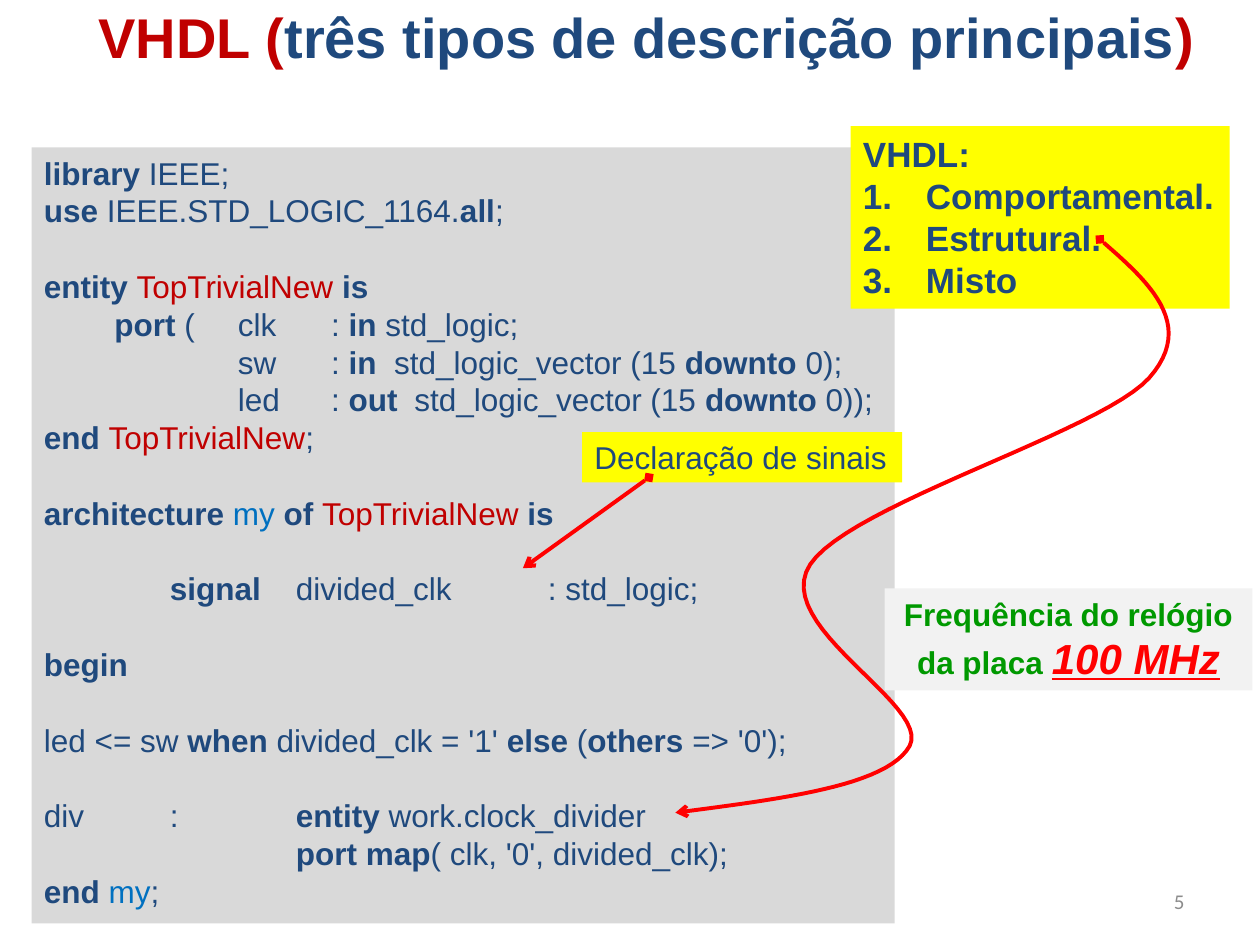
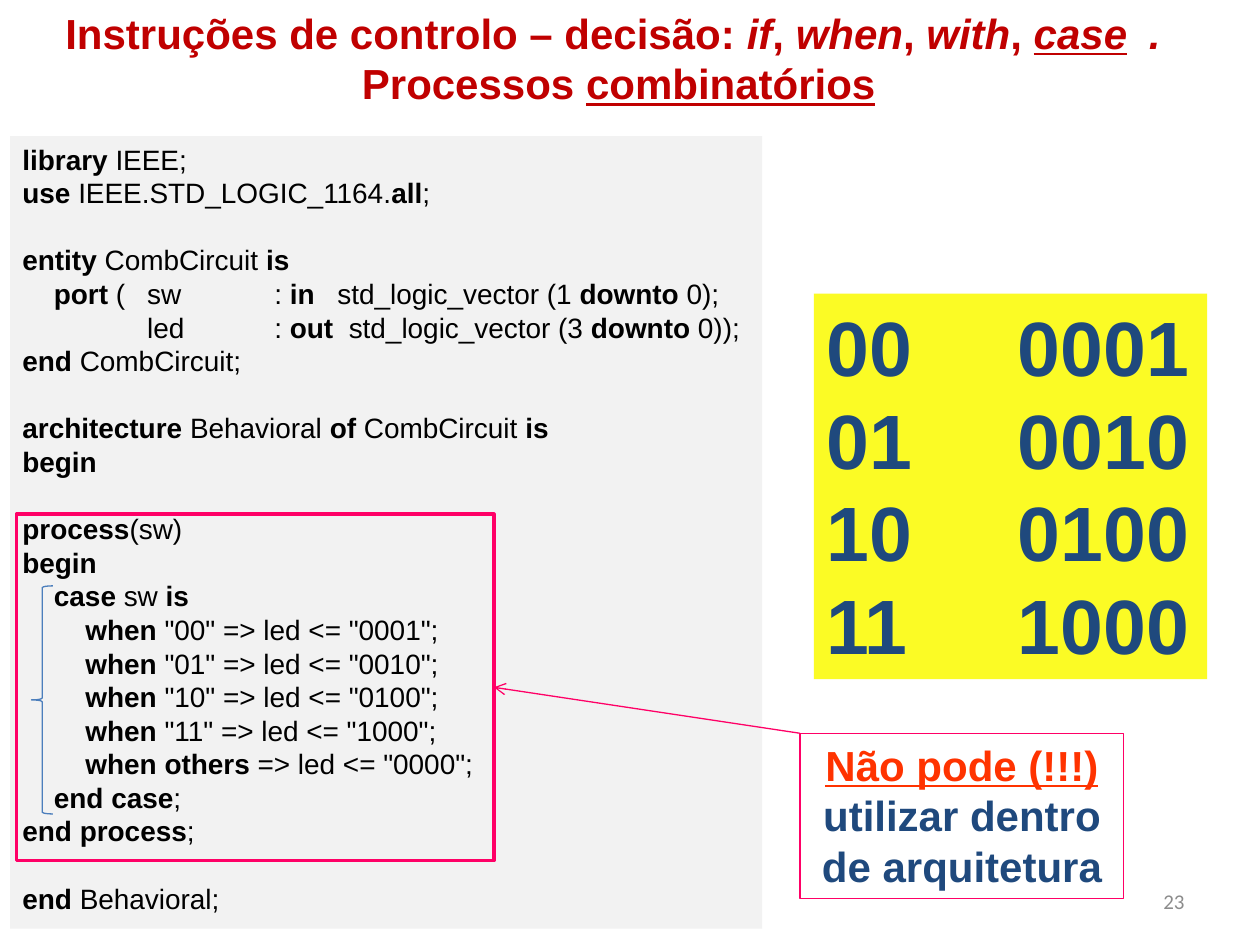
from dataclasses import dataclass
from itertools import groupby
from typing import NamedTuple

from lxml.etree import SubElement
from pptx import Presentation
from pptx.dml.color import RGBColor
from pptx.enum.shapes import MSO_CONNECTOR, MSO_SHAPE as Preset
from pptx.enum.text import MSO_ANCHOR as Anchor, PP_ALIGN as Align
from pptx.oxml.ns import qn
from pptx.util import Inches, Pt


@dataclass(frozen=True)
class Theme:
    font: str = "Arial"
    number_font: str = "Calibri"
    navy: str = "1F497D"
    crimson: str = "C00000"
    sky: str = "0070C0"
    black: str = "000000"
    red: str = "FF0000"
    orange: str = "FF3300"
    green: str = "009900"
    pink: str = "FF0066"
    brace: str = "4B7EBC"
    number: str = "8C8C8C"
    yellow: str = "FFFF00"
    lemon: str = "FBFB25"
    gray: str = "D9D9D9"
    pale: str = "F2F2F2"
    title: int = 32
    subtitle: int = 24
    big: int = 44
    list: int = 20
    body: int = 18
    code: int = 16
    small: int = 12
    leading: float = 1.2


THEME = Theme()
KEYWORDS = set(
    "library use all entity is port in out downto end architecture of signal "
    "begin when else others map process case".split()
)
NAME_COLORS = {"TopTrivialNew": THEME.crimson, "my": THEME.sky}


class Box(NamedTuple):
    left: float
    top: float
    width: float
    height: float


class Run(NamedTuple):
    text: str
    color: str = THEME.navy
    size: int = THEME.body
    bold: bool = False
    italic: bool = False
    underline: bool = False
    font: str = THEME.font


class Line(NamedTuple):
    """One paragraph; gap leaves a full line of space above it."""
    runs: list[Run]
    tabs: tuple[float, ...] = ()
    gap: bool = False
    align: Align = Align.LEFT
    numbered: bool = False


class Code(NamedTuple):
    text: str
    tabs: tuple[float, ...] = ()
    gap: bool = False


class Stroke(NamedTuple):
    color: str
    width: float
    head: str = ""
    tail: str = ""


def rgb(color: str) -> RGBColor:
    return RGBColor.from_string(color)


def highlight(lines: list[Code], size: int, color: str) -> list[Line]:
    """Turn VHDL lines into runs: keywords bold, known names coloured."""
    def word_character(character: str) -> bool:
        return character.isalnum() or character == "_"

    result = []
    for line in lines:
        words = ["".join(group) for _, group in groupby(line.text, word_character)]
        runs = [Run(word, NAME_COLORS.get(word, color), size, word in KEYWORDS)
                for word in words]
        result.append(Line(runs, line.tabs, line.gap))
    return result


def write(shape, lines: list[Line], anchor=Anchor.TOP, exact: bool = True) -> None:
    frame = shape.text_frame
    frame.word_wrap = True
    frame.vertical_anchor = anchor
    for index, line in enumerate(lines):
        paragraph = frame.paragraphs[0] if index == 0 else frame.add_paragraph()
        paragraph.alignment = line.align
        pitch = Pt(line.runs[0].size * THEME.leading)
        if exact:
            paragraph.line_spacing = pitch
        if line.gap:
            paragraph.space_before = pitch
        properties = paragraph._p.get_or_add_pPr()
        if line.numbered:
            properties.set("marL", str(Inches(0.5)))
            properties.set("indent", str(-Inches(0.5)))
            SubElement(properties, qn("a:buFont"), typeface=THEME.font)
            SubElement(properties, qn("a:buAutoNum"), type="arabicPeriod")
        if line.tabs:
            stops = SubElement(properties, qn("a:tabLst"))
            for stop in line.tabs:
                SubElement(stops, qn("a:tab"), pos=str(Inches(stop)), algn="l")
        for item in line.runs:
            run = paragraph.add_run()
            run.text = item.text
            font = run.font
            font.name, font.size = item.font, Pt(item.size)
            font.bold, font.italic, font.underline = item.bold, item.italic, item.underline
            font.color.rgb = rgb(item.color)


def apply_stroke(shape, stroke: Stroke) -> None:
    shape.line.color.rgb = rgb(stroke.color)
    shape.line.width = Pt(stroke.width)
    line = shape.line._get_or_add_ln()
    for tag, kind in (("a:headEnd", stroke.head), ("a:tailEnd", stroke.tail)):
        if kind:
            SubElement(line, qn(tag), type=kind)


def add_panel(slide, box: Box, fill: str = "", stroke: Stroke | None = None,
              preset=Preset.RECTANGLE):
    shape = slide.shapes.add_shape(preset, *map(Inches, box))
    shape.shadow.inherit = False
    if fill:
        shape.fill.solid()
        shape.fill.fore_color.rgb = rgb(fill)
    else:
        shape.fill.background()
    if stroke:
        apply_stroke(shape, stroke)
    else:
        shape.line.fill.background()
    return shape


def add_text(slide, box: Box, lines: list[Line], anchor=Anchor.TOP) -> None:
    write(slide.shapes.add_textbox(*map(Inches, box)), lines, anchor)


def add_arrow(slide, start: tuple, end: tuple, stroke: Stroke):
    connector = slide.shapes.add_connector(
        MSO_CONNECTOR.STRAIGHT, *map(Inches, start + end))
    apply_stroke(connector, stroke)
    SubElement(connector._element.spPr, qn("a:effectLst"))
    return connector


def add_curve(slide, start: tuple, segments: list[tuple], stroke: Stroke) -> None:
    """Draw joined cubic curves, each given as two handles and an end point."""
    steps = 24
    points = []
    origin = start
    for first, second, end in segments:
        for step in range(1, steps + 1):
            t = step / steps
            s = 1 - t
            points.append(tuple(
                Inches(s**3 * a + 3 * s * s * t * b + 3 * s * t * t * c + t**3 * d)
                for a, b, c, d in zip(origin, first, second, end)))
        origin = end
    builder = slide.shapes.build_freeform(*map(Inches, start))
    builder.add_line_segments(points, close=False)
    shape = builder.convert_to_shape()
    shape.shadow.inherit = False
    shape.fill.background()
    apply_stroke(shape, stroke)


def new_slide(presentation, number: int):
    slide = presentation.slides.add_slide(presentation.slide_layouts[6])
    run = Run(str(number), THEME.number, THEME.small, font=THEME.number_font)
    add_text(slide, Box(7.17, 6.95, 2.33, 0.4),
             [Line([run], align=Align.RIGHT)], Anchor.MIDDLE)
    return slide


def build_description_slide(presentation) -> None:
    slide = new_slide(presentation, 5)
    code = [
        Code("library IEEE;"),
        Code("use IEEE.STD_LOGIC_1164.all;"),
        Code("entity TopTrivialNew is", gap=True),
        Code("\tport (\tclk\t: in std_logic;", (0.56, 1.54, 2.28)),
        Code("\tsw\t: in\tstd_logic_vector (15 downto 0);", (1.54, 2.28, 2.78)),
        Code("\tled\t: out\tstd_logic_vector (15 downto 0));", (1.54, 2.28, 2.94)),
        Code("end TopTrivialNew;"),
        Code("architecture my of TopTrivialNew is", gap=True),
        Code("\tsignal\tdivided_clk\t: std_logic;", (1, 2, 4), True),
        Code("begin", gap=True),
        Code("led <= sw when divided_clk = '1' else (others => '0');", gap=True),
        Code("div\t:\tentity work.clock_divider", (1, 2), True),
        Code("\tport map( clk, '0', divided_clk);", (2,)),
        Code("end my;"),
    ]
    write(add_panel(slide, Box(0.25, 1.17, 6.85, 6.16), THEME.gray),
          highlight(code, THEME.body, THEME.navy))

    clock = [Run("Frequência do relógio da placa ", THEME.green, bold=True),
             Run("100 MHz", THEME.red, THEME.subtitle, True, True, True)]
    write(add_panel(slide, Box(7.02, 4.67, 2.92, 0.81), THEME.pale),
          [Line(clock, align=Align.CENTER)], exact=False)

    kinds = ["VHDL:", "Comportamental.", "Estrutural.", "Misto"]
    write(add_panel(slide, Box(6.75, 1, 3.01, 1.45), THEME.yellow),
          [Line([Run(kind, size=THEME.list, bold=True)], numbered=index > 0)
           for index, kind in enumerate(kinds)])

    pointer = Stroke(THEME.red, 2.25, "diamond", "arrow")
    add_curve(slide, (8.73, 1.9), [
        ((9.11, 2.23), (9.5, 2.57), (9.12, 3)),
        ((8.73, 3.43), (6.75, 4), (6.43, 4.48)),
        ((6.11, 4.97), (7.39, 5.59), (7.22, 5.92)),
        ((7.04, 6.24), (6.2, 6.34), (5.36, 6.45)),
    ], pointer)
    write(add_panel(slide, Box(4.62, 3.43, 2.54, 0.4), THEME.yellow),
          [Line([Run("Declaração de sinais")])])
    add_arrow(slide, (5.15, 3.79), (4.15, 4.51), pointer)

    title = [Run("VHDL (", THEME.crimson, THEME.title, True),
             Run("três tipos de descrição principais", THEME.navy, THEME.title, True),
             Run(")", THEME.crimson, THEME.title, True)]
    add_text(slide, Box(0.67, -0.03, 8.92, 0.64), [Line(title, align=Align.CENTER)])


def build_case_slide(presentation) -> None:
    slide = new_slide(presentation, 23)

    def heading(text: str, italic: bool = False, underline: bool = False) -> Run:
        return Run(text, THEME.crimson, THEME.subtitle, True, italic, underline)

    statements = [heading("Instruções de controlo – decisão: ")]
    for word in ("if", "when", "with"):
        statements += [heading(word, True), heading(", ")]
    statements += [heading("case", True, True), heading("\t.", True)]
    processes = [heading("Processos "), heading("combinatórios", underline=True)]
    add_text(slide, Box(0.42, 0.01, 8.98, 0.91),
             [Line(statements, (8.6,)), Line(processes, align=Align.CENTER)])

    truth_table = [(f"{value:02b}", f"{1 << value:04b}") for value in range(4)]
    inner, deep = (0.25,), (0.5,)
    code = [
        Code("library IEEE;"),
        Code("use IEEE.STD_LOGIC_1164.all;"),
        Code("entity CombCircuit is", gap=True),
        Code("\tport (\tsw\t: in\tstd_logic_vector (1 downto 0);", (0.25, 0.99, 2, 2.5)),
        Code("\tled\t: out\tstd_logic_vector (3 downto 0));", (0.99, 2, 2.59)),
        Code("end CombCircuit;"),
        Code("architecture Behavioral of CombCircuit is", gap=True),
        Code("begin"),
        Code("process(sw)", gap=True),
        Code("begin"),
        Code("\tcase sw is", inner),
        *(Code(f'\twhen "{sw}" => led <= "{led}";', deep) for sw, led in truth_table),
        Code('\twhen others => led <= "0000";', deep),
        Code("\tend case;", inner),
        Code("end process;"),
        Code("end Behavioral;", gap=True),
    ]
    write(add_panel(slide, Box(0.08, 1.08, 5.97, 6.29), THEME.pale),
          highlight(code, THEME.code, THEME.black))

    write(add_panel(slide, Box(6.46, 2.33, 3.12, 3.06), THEME.lemon),
          [Line([Run(f"{sw}\t{led}", size=THEME.big, bold=True)], (1.52,))
           for sw, led in truth_table])

    process_frame = add_panel(slide, Box(0.13, 4.08, 3.79, 2.75),
                              stroke=Stroke(THEME.pink, 2))
    arrow = add_arrow(slide, (6.35, 5.82), (3.92, 5.46),
                      Stroke(THEME.pink, 0.75, tail="arrow"))
    arrow.end_connect(process_frame, 3)

    warning = [Run("Não pode (!!!)", THEME.orange, THEME.subtitle, True, underline=True),
               Run(" utilizar dentro de arquitetura", THEME.navy, THEME.subtitle, True)]
    write(add_panel(slide, Box(6.35, 5.82, 2.57, 1.31), stroke=Stroke(THEME.pink, 0.75)),
          [Line(warning, align=Align.CENTER)])
    add_panel(slide, Box(0.25, 4.65, 0.17, 1.81), stroke=Stroke(THEME.brace, 0.75),
              preset=Preset.LEFT_BRACE)


def main() -> None:
    presentation = Presentation()
    presentation.slide_width, presentation.slide_height = Inches(10), Inches(7.5)
    build_description_slide(presentation)
    build_case_slide(presentation)
    presentation.save("out.pptx")


if __name__ == "__main__":
    main()
